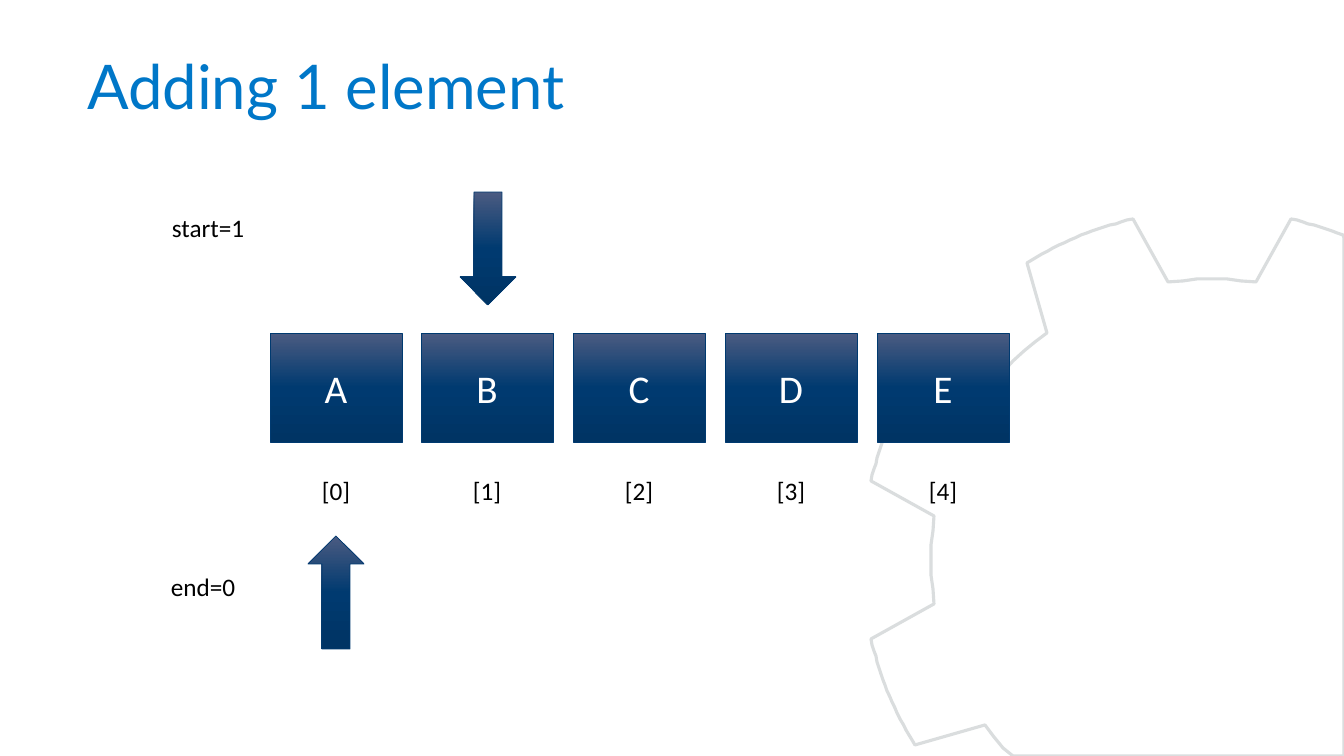
from copy import deepcopy
from math import cos, radians, sin

from pptx import Presentation
from pptx.dml.color import RGBColor
from pptx.enum.shapes import MSO_SHAPE
from pptx.enum.text import MSO_ANCHOR, MSO_AUTO_SIZE, PP_ALIGN
from pptx.util import Emu, Pt

RECT, UP, DOWN = MSO_SHAPE.RECTANGLE, MSO_SHAPE.UP_ARROW, MSO_SHAPE.DOWN_ARROW
MIDDLE, TOP = MSO_ANCHOR.MIDDLE, MSO_ANCHOR.TOP
LEFT, CENTER = PP_ALIGN.LEFT, PP_ALIGN.CENTER
GROW = MSO_AUTO_SIZE.SHAPE_TO_FIT_TEXT
WIDTH, HEIGHT = 1344, 756
SCALE = 12192000 / WIDTH
GRADIENT = [(0, "4B5B81"), (0.5, "003A70"), (1, "003464")]


def px(n):
    return Emu(round(n * SCALE))


def rgb(value):
    return RGBColor.from_string(value)


class Deck:
    font = "Calibri"
    title_font = "Lato"
    title_color = "0077C8"
    text_color = "000000"
    box_text_color = "FFFFFF"
    box_line = "003A70"
    gear_fill = "FFFFFF"
    gear_line = "DADDDE"

    def __init__(self):
        self.prs = Presentation()
        self.prs.slide_width, self.prs.slide_height = px(WIDTH), px(HEIGHT)
        self.s = self.prs.slides.add_slide(self.prs.slide_layouts[5])

    def set_text(self, sp, text, size, color, font, align=CENTER, anchor=MIDDLE, wrap=True):
        tf = sp.text_frame
        tf.word_wrap = wrap
        tf.vertical_anchor = anchor
        if not wrap:
            tf.auto_size = GROW
        p = tf.paragraphs[0]
        p.text = text
        p.alignment = align
        p.font.size = Pt(size)
        p.font.name = font
        p.font.color.rgb = rgb(color)
        return p

    def title(self, text, x, y, w, h):
        sp = self.s.shapes.title
        sp.left, sp.top, sp.width, sp.height = map(px, (x, y, w, h))
        p = self.set_text(sp, text, 44, self.title_color, self.title_font, LEFT, wrap=False)
        p.line_spacing = 0.9

    def label(self, text, x, y, w, h, anchor=MIDDLE, wrap=True):
        sp = self.s.shapes.add_textbox(*map(px, (x, y, w, h)))
        self.set_text(sp, text, 18, self.text_color, self.font, anchor=anchor, wrap=wrap)

    def block(self, kind, x, y, w, h, text=None):
        sp = self.s.shapes.add_shape(kind, *map(px, (x, y, w, h)))
        sp.shadow.inherit = False
        sp.fill.gradient()
        stops = sp._element.xpath(".//a:gsLst")[0]
        stops.append(deepcopy(stops[0]))
        for stop, (position, color) in zip(sp.fill.gradient_stops, GRADIENT):
            stop.position = position
            stop.color.rgb = rgb(color)
        sp.fill.gradient_angle = 270
        sp.line.color.rgb = rgb(self.box_line)
        sp.line.width = Pt(0.5)
        if text:
            self.set_text(sp, text, 28, self.box_text_color, self.font)

    def gear(self, cx, cy, outer, root, teeth):
        pitch = 360 // teeth
        polar = []
        for gap in range(0, 360, pitch):
            polar += [(root, gap + a) for a in range(-9, 10, 3)]
            polar += [(outer, gap + a) for a in range(13, pitch - 12)]
        points = [(min(WIDTH, round(cx + r * sin(radians(a)))),
                   min(HEIGHT, round(cy - r * cos(radians(a))))) for r, a in polar]
        builder = self.s.shapes.build_freeform(*points[0], scale=SCALE)
        builder.add_line_segments(points[1:], close=True)
        sp = builder.convert_to_shape()
        sp.shadow.inherit = False
        sp.fill.solid()
        sp.fill.fore_color.rgb = rgb(self.gear_fill)
        sp.line.color.rgb = rgb(self.gear_line)
        sp.line.width = Pt(2.25)


def main():
    deck = Deck()
    deck.gear(1212, 560, 350, 281, 8)
    deck.title("Adding 1 element", 77, 51, 502, 78)
    first, span, w = 270, 607, 132
    for i, letter in enumerate("ABCDE"):
        x = first + span * i // 4
        deck.block(RECT, x, 333, w, 109, letter)
        deck.label(f"[{i}]", x, 458, w, 64)
    deck.label("start=1", 161, 207, 94, 40, TOP, False)
    deck.block(DOWN, 460, 192, 56, 113)
    deck.label("end=0", 160, 566, 86, 40, TOP, False)
    deck.block(UP, 308, 536, 56, 113)
    deck.prs.save("out.pptx")


if __name__ == "__main__":
    main()
